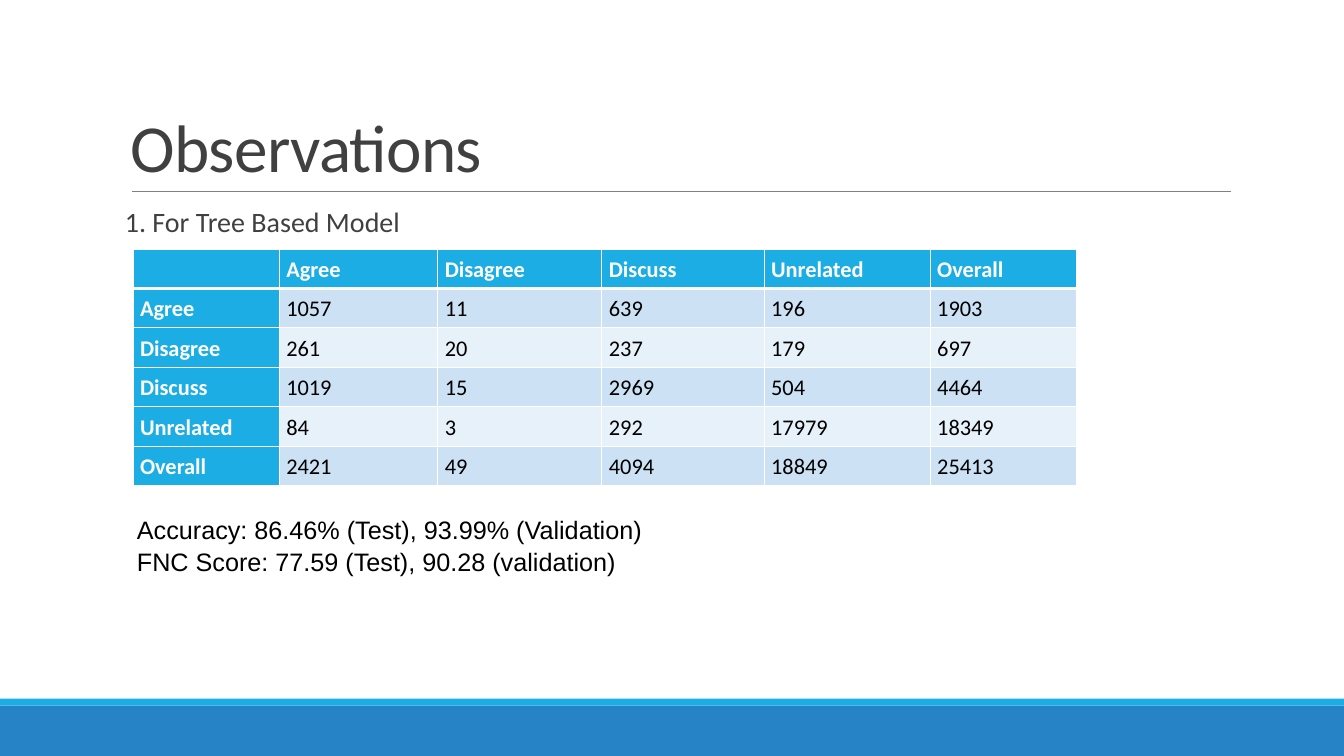
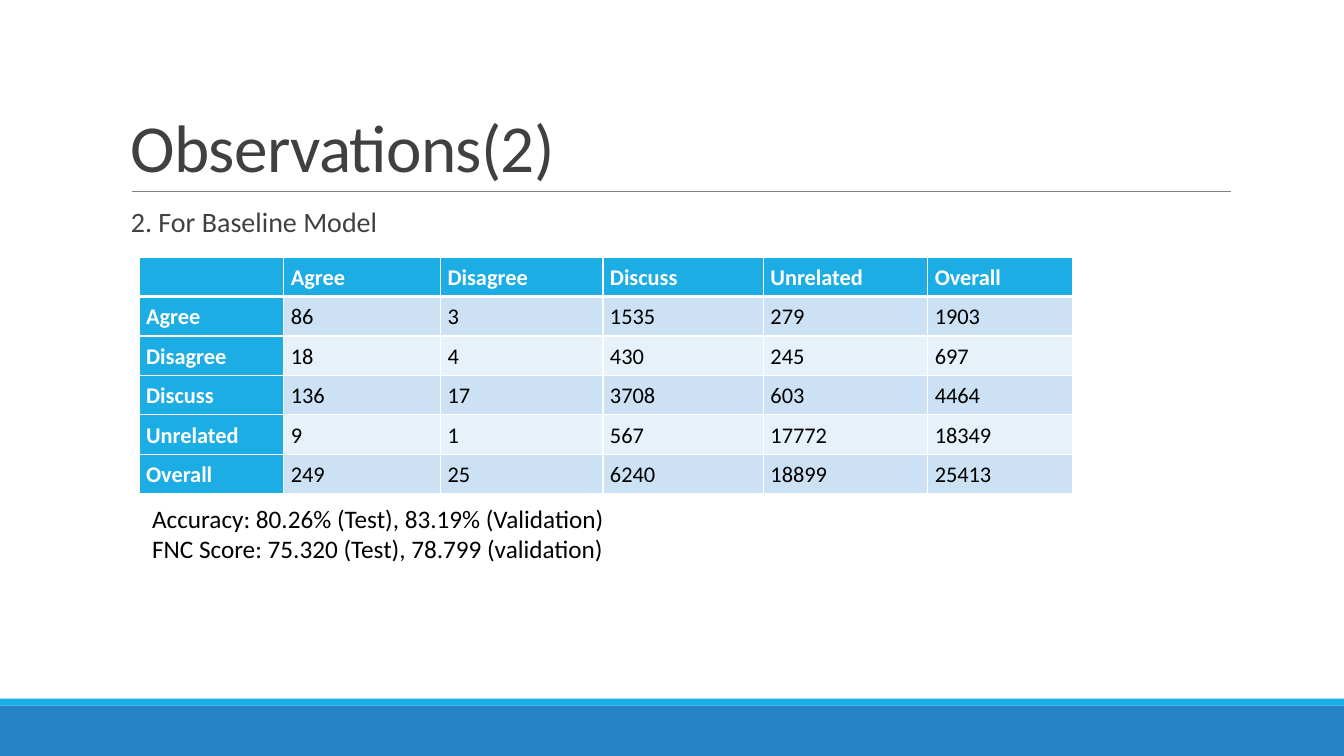
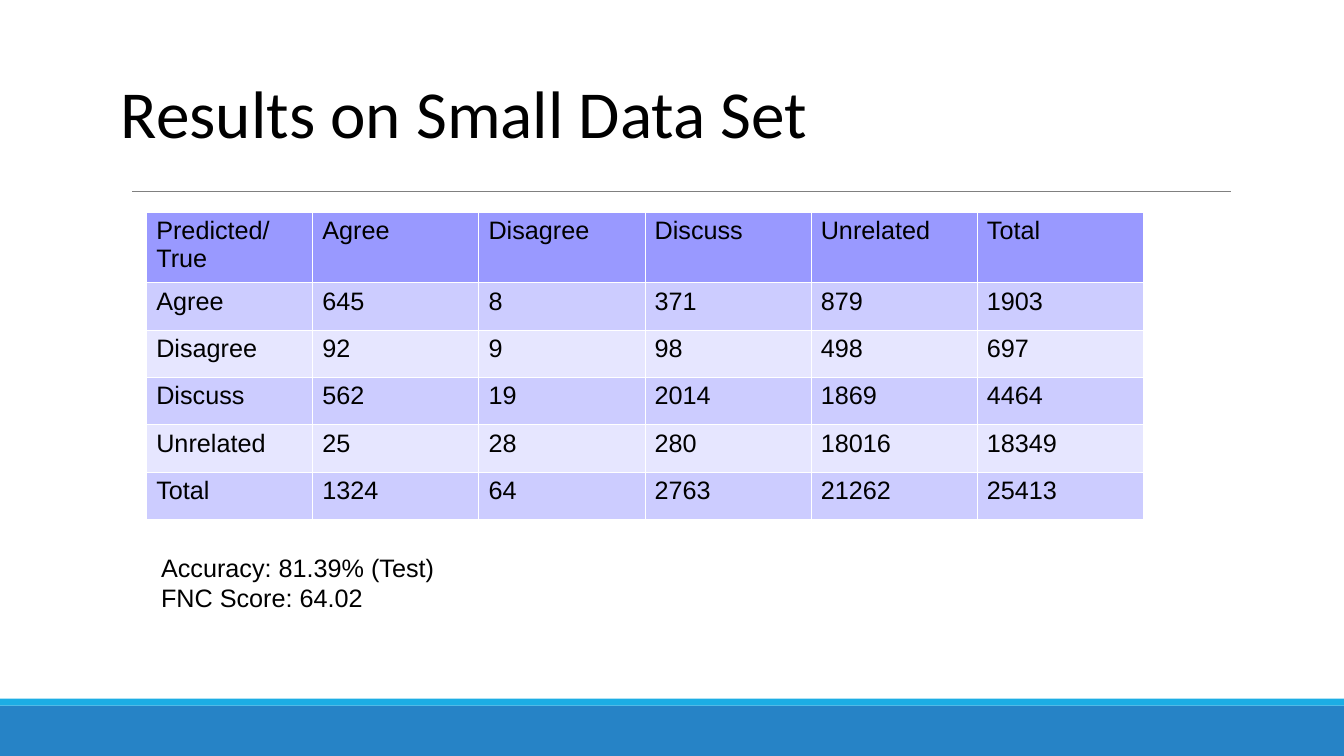
from lxml import etree
from pptx import Presentation
from pptx.dml.color import RGBColor
from pptx.enum.shapes import MSO_CONNECTOR, MSO_SHAPE
from pptx.enum.text import MSO_ANCHOR
from pptx.oxml.ns import qn
from pptx.util import Inches, Pt

RECT = MSO_SHAPE.RECTANGLE
STRAIGHT = MSO_CONNECTOR.STRAIGHT
TOP, MIDDLE, BOTTOM = MSO_ANCHOR.TOP, MSO_ANCHOR.MIDDLE, MSO_ANCHOR.BOTTOM
rgb = RGBColor.from_string

BLACK, WHITE, GREY, RULE = "000000", "FFFFFF", "404040", "808080"
BLUE, CYAN = "2683C6", "1CADE4"
BANDS = [(BLUE, (0, 93.33, 100, 6.67)), (CYAN, (0, 92.4, 100, 0.93))]
TITLE_BOX = (9, 4.13, 82.5, 21.2)

# Table looks; widths are shares of the table, heights are % of the slide
BLUE_TABLE = dict(
    font="Calibri", size=16, spacing=1.07, inset=0.07,
    header=CYAN, first_column=CYAN, bands=("CCE2F4", "E7F1F9"),
    label_color=WHITE, bold_labels=True, border=0.96, header_border=3,
    columns=(0.155, 0.168, 0.174, 0.172, 0.176, 0.155),
    header_height=5.22, row_height=5.22)
VIOLET_TABLE = dict(
    font="Arial", size=18, spacing=1, inset=0.1,
    header="9999FF", first_column=None, bands=("CCCCFF", "E6E6FF"),
    label_color=BLACK, bold_labels=False, border=0.06, header_border=0.06,
    columns=(1 / 6,) * 6, header_height=8.8, row_height=6.27)

SLIDES = [
    dict(title="Observations", title_color=GREY, title_anchor=BOTTOM,
         title_spacing=0.85, title_inset=0.1, tracking=-50,
         subtitle="1. For Tree Based Model", subtitle_left=8.55,
         look=BLUE_TABLE, table_at=(9.9, 32.93), table_width=70.2,
         labels=["", "Agree", "Disagree", "Discuss", "Unrelated", "Overall"],
         counts=[(1057, 11, 639, 196, 1903),
                 (261, 20, 237, 179, 697),
                 (1019, 15, 2969, 504, 4464),
                 (84, 3, 292, 17979, 18349),
                 (2421, 49, 4094, 18849, 25413)],
         scores=["Accuracy: 86.46% (Test), 93.99% (Validation)",
                 "FNC Score: 77.59 (Test), 90.28 (validation)"],
         scores_box=(9.45, 67.07, 50, 14.13),
         scores_font="Arial", scores_spacing=1.07),
    dict(title="Observations(2)", title_color=GREY, title_anchor=BOTTOM,
         title_spacing=0.85, title_inset=0.1, tracking=-50,
         subtitle="2. For Baseline Model", subtitle_left=9,
         look=BLUE_TABLE, table_at=(10.35, 34), table_width=69.45,
         labels=["", "Agree", "Disagree", "Discuss", "Unrelated", "Overall"],
         counts=[(86, 3, 1535, 279, 1903),
                 (18, 4, 430, 245, 697),
                 (136, 17, 3708, 603, 4464),
                 (9, 1, 567, 17772, 18349),
                 (249, 25, 6240, 18899, 25413)],
         scores=["Accuracy: 80.26% (Test), 83.19% (Validation)",
                 "FNC Score: 75.320 (Test), 78.799 (validation)"],
         scores_box=(10.58, 65.87, 48.53, 9.33),
         scores_font="Calibri", scores_spacing=1),
    dict(title="Results on Small Data Set", title_color=BLACK,
         title_anchor=MIDDLE, title_spacing=1, title_inset=0, tracking=0,
         subtitle=None,
         look=VIOLET_TABLE, table_at=(10.88, 28), table_width=74.18,
         labels=["Predicted/True", "Agree", "Disagree", "Discuss",
                 "Unrelated", "Total"],
         counts=[(645, 8, 371, 879, 1903),
                 (92, 9, 98, 498, 697),
                 (562, 19, 2014, 1869, 4464),
                 (25, 28, 280, 18016, 18349),
                 (1324, 64, 2763, 21262, 25413)],
         scores=["Accuracy: 81.39% (Test)", "FNC Score: 64.02"],
         scores_box=(11.25, 72.4, 34.88, 8.8),
         scores_font="Arial", scores_spacing=1),
]

prs = Presentation()
prs.slide_width, prs.slide_height = Inches(13.333), Inches(7.5)


def box(*shares):
    """Turn alternating x and y percentages of the slide into lengths."""
    sides = (prs.slide_width, prs.slide_height)
    return [int(sides[i % 2] * share / 100) for i, share in enumerate(shares)]


def write(tf, text, font, size, color, spacing=1, inset=0.1, anchor=TOP, bold=False):
    tf.text = text
    tf.word_wrap = True
    # Table cells carry their margins and anchor outside the text frame
    tf.margin_left = tf.margin_right = Inches(inset)
    tf.vertical_anchor = anchor
    for p in tf.paragraphs:
        p.line_spacing = spacing
        for r in p.runs:
            r.font.name, r.font.size, r.font.bold = font, Pt(size), bold
            r.font.color.rgb = rgb(color)


for page in SLIDES:
    s = prs.slides.add_slide(prs.slide_layouts[6])

    for color, place in BANDS:
        sp = s.shapes.add_shape(RECT, *box(*place))
        sp.shadow.inherit = False
        sp.fill.solid()
        sp.fill.fore_color.rgb = rgb(color)
        sp.line.fill.background()
    rule = s.shapes.add_connector(STRAIGHT, *box(9.83, 25.33, 91.58, 25.33))
    rule.line.color.rgb = rgb(RULE)
    rule.line.width = Pt(0.5)
    etree.SubElement(rule._element.spPr, qn("a:effectLst"))

    tf = s.shapes.add_textbox(*box(*TITLE_BOX)).text_frame
    write(tf, page["title"], "Calibri", 48, page["title_color"],
          page["title_spacing"], page["title_inset"], page["title_anchor"])
    tf.paragraphs[0].runs[0]._r.get_or_add_rPr().set("spc", str(page["tracking"]))

    if page["subtitle"]:
        place = box(page["subtitle_left"], 26.93, 82.5, 58.67)
        tf = s.shapes.add_textbox(*place).text_frame
        write(tf, page["subtitle"], "Calibri", 20, GREY, 0.9)
        tf.paragraphs[0].space_before = Pt(12)
        tf.paragraphs[0].space_after = Pt(2)

    look, labels = page["look"], page["labels"]
    rows = [labels] + [[label, *counts]
                       for label, counts in zip(labels[1:], page["counts"])]
    heights = [look["header_height"]] + [look["row_height"]] * (len(rows) - 1)
    place = box(*page["table_at"], page["table_width"], sum(heights))
    table = s.shapes.add_table(len(rows), len(labels), *place).table
    table.first_row = table.horz_banding = False
    for column, share in zip(table.columns, look["columns"]):
        column.width = int(place[2] * share)
    for i, (values, height) in enumerate(zip(rows, heights)):
        table.rows[i].height = box(0, height)[1]
        for j, value in enumerate(values):
            cell = table.cell(i, j)
            is_label = i == 0 or j == 0
            fill = look["header"] if i == 0 else look["bands"][(i - 1) % 2]
            if j == 0 and look["first_column"]:
                fill = look["first_column"]

            write(cell.text_frame, str(value), look["font"], look["size"],
                  look["label_color"] if is_label else BLACK, look["spacing"],
                  bold=is_label and look["bold_labels"])
            if value == "":
                etree.SubElement(cell.text_frame.paragraphs[0]._p,
                                 qn("a:endParaRPr"), sz=str(look["size"] * 100))
            cell.margin_left = cell.margin_right = Inches(look["inset"])

            tcPr = cell._tc.get_or_add_tcPr()
            for side in "LRTB":
                under_header = (i, side) in ((0, "B"), (1, "T"))
                width = look["header_border" if under_header else "border"]
                ln = etree.SubElement(tcPr, qn(f"a:ln{side}"), w=str(int(Pt(width))))
                line_fill = etree.SubElement(ln, qn("a:solidFill"))
                etree.SubElement(line_fill, qn("a:srgbClr"), val=WHITE)
            cell.fill.solid()
            cell.fill.fore_color.rgb = rgb(fill)

    tf = s.shapes.add_textbox(*box(*page["scores_box"])).text_frame
    write(tf, "\n".join(page["scores"]), page["scores_font"], 18, BLACK,
          page["scores_spacing"])

prs.save("out.pptx")
